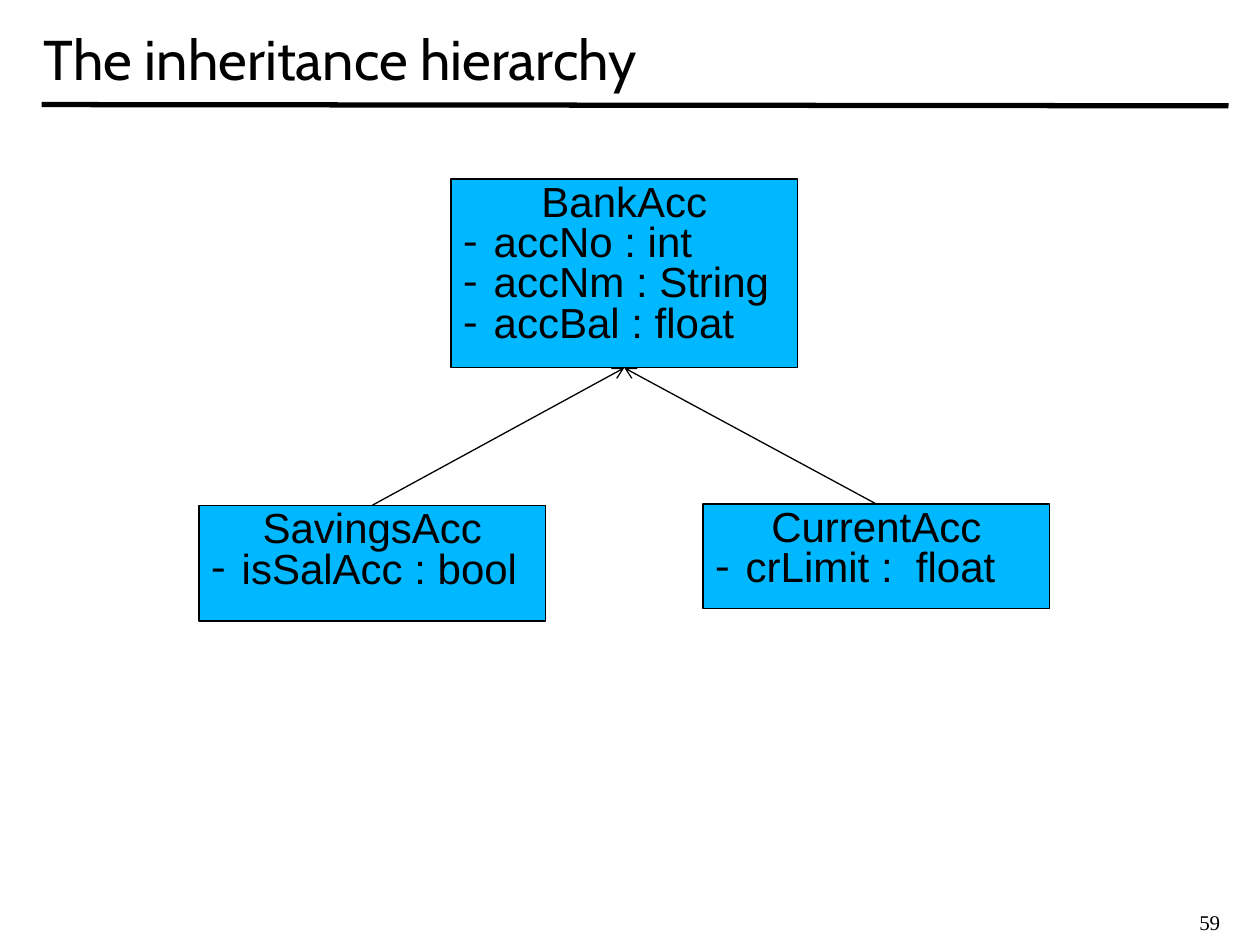
import pptx
import pptx.dml.color
import pptx.enum.shapes
import pptx.enum.text
import pptx.oxml.ns
import pptx.util
from lxml import etree

Inches = pptx.util.Inches
Pt = pptx.util.Pt
qn = pptx.oxml.ns.qn
PP_ALIGN = pptx.enum.text.PP_ALIGN
MSO_ANCHOR = pptx.enum.text.MSO_ANCHOR


def color(value):
    return pptx.dml.color.RGBColor.from_string(value)


class Diagram:
    ink = "000000"
    box_fill = "00B8FF"
    box_width = 2.75
    body_font = "Arial"
    body_size = 24
    bullet_indent = 0.24

    def __init__(self, slide):
        self.slide = slide

    def run(self, p, text, font, size):
        r = p.add_run()
        r.text = text
        r.font.name = font
        r.font.size = Pt(size)
        r.font.color.rgb = color(self.ink)

    def label(self, text, left, top, width, height, font, size, anchor):
        sp = self.slide.shapes.add_textbox(
            Inches(left), Inches(top), Inches(width), Inches(height))
        tf = sp.text_frame
        tf.word_wrap = True
        tf.vertical_anchor = anchor
        self.run(tf.paragraphs[0], text, font, size)

    def bullet(self, p):
        pPr = p._p.get_or_add_pPr()
        indent = Inches(self.bullet_indent)
        pPr.set("marL", str(indent))
        pPr.set("indent", str(-indent))
        clr = etree.SubElement(pPr, qn("a:buClr"))
        etree.SubElement(clr, qn("a:srgbClr"), val=self.ink)
        etree.SubElement(pPr, qn("a:buFont"), typeface="Times New Roman")
        etree.SubElement(pPr, qn("a:buChar"), char="-")

    def class_box(self, name, fields, left, top, height):
        sp = self.slide.shapes.add_shape(
            pptx.enum.shapes.MSO_SHAPE.RECTANGLE,
            Inches(left), Inches(top), Inches(self.box_width), Inches(height))
        sp.shadow.inherit = False
        sp.fill.solid()
        sp.fill.fore_color.rgb = color(self.box_fill)
        sp.line.color.rgb = color(self.ink)
        sp.line.width = Pt(0.75)
        tf = sp.text_frame
        tf.word_wrap = True
        tf.vertical_anchor = MSO_ANCHOR.TOP
        p = tf.paragraphs[0]
        p.alignment = PP_ALIGN.CENTER
        p.line_spacing = 0.8
        self.run(p, name, self.body_font, self.body_size)
        for field in fields:
            p = tf.add_paragraph()
            self.bullet(p)
            p.alignment = PP_ALIGN.LEFT
            p.line_spacing = 0.8
            self.run(p, field, self.body_font, self.body_size)
        return sp

    def line(self, x1, y1, x2, y2, width):
        cxn = self.slide.shapes.add_connector(
            pptx.enum.shapes.MSO_CONNECTOR.STRAIGHT,
            Inches(x1), Inches(y1), Inches(x2), Inches(y2))
        cxn.line.color.rgb = color(self.ink)
        cxn.line.width = Pt(width)
        etree.SubElement(cxn._element.spPr, qn("a:effectLst"))
        return cxn

    def inherits(self, child, parent):
        cxn = self.line(0, 0, 1, 1, 0.75)
        cxn.begin_connect(child, 0)
        cxn.end_connect(parent, 2)
        ln = cxn.line._get_or_add_ln()
        etree.SubElement(ln, qn("a:tailEnd"), type="arrow")


def main():
    prs = pptx.Presentation()
    prs.slide_width = Inches(10)
    prs.slide_height = Inches(7.5)
    s = prs.slides.add_slide(prs.slide_layouts[6])
    d = Diagram(s)

    d.line(0.33, 0.83, 9.75, 0.84, 3)
    d.label("59", 9.42, 7.17, 0.54, 0.3, "Times New Roman", 12, MSO_ANCHOR.TOP)
    d.label("The inheritance hierarchy", 0.25, 0, 9.5, 0.92,
            "Cabin", 32, MSO_ANCHOR.MIDDLE)

    bank = d.class_box(
        "BankAcc", ["accNo : int", "accNm : String", "accBal : float"],
        3.58, 1.42, 1.5)
    savings = d.class_box("SavingsAcc", ["isSalAcc : bool"], 1.58, 4.01, 0.92)
    current = d.class_box("CurrentAcc", ["crLimit :  float"], 5.58, 4, 0.83)
    for child in (current, savings):
        d.inherits(child, bank)

    prs.save("out.pptx")


if __name__ == "__main__":
    main()
